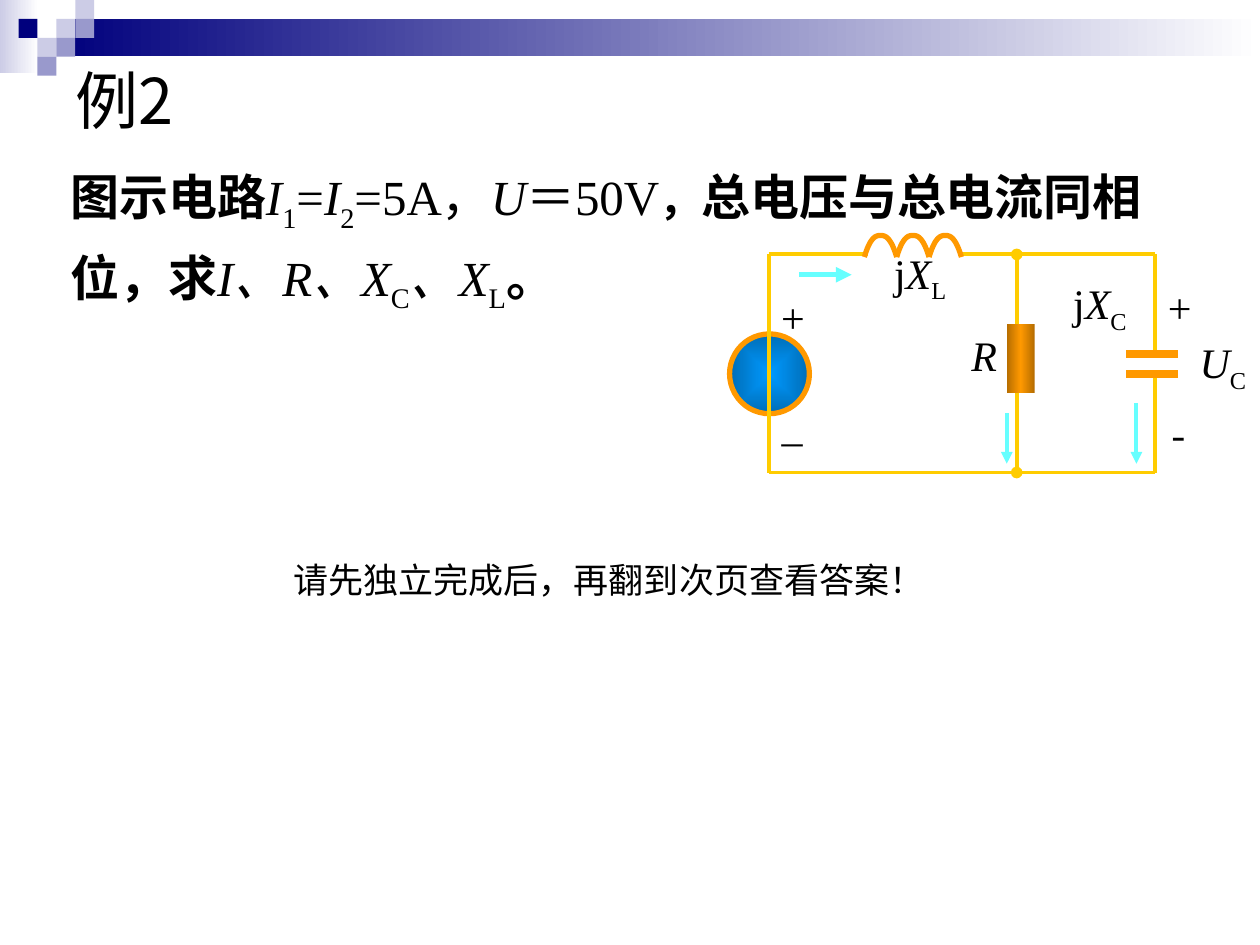
import lxml.etree
import pptx
import pptx.dml.color
import pptx.enum.shapes
import pptx.enum.text
import pptx.oxml.ns
import pptx.util

Pt = pptx.util.Pt
RGBColor = pptx.dml.color.RGBColor
Shapes = pptx.enum.shapes.MSO_SHAPE
Align = pptx.enum.text.PP_ALIGN
Anchor = pptx.enum.text.MSO_ANCHOR
qn = pptx.oxml.ns.qn
SubElement = lxml.etree.SubElement

BLACK = RGBColor(0, 0, 0)
WHITE = RGBColor(255, 255, 255)
NAVY = RGBColor(0, 0, 0x7D)
LILAC = RGBColor(0xCC, 0xCC, 0xE6)
VIOLET = RGBColor(0x99, 0x99, 0xCC)
BLUE = RGBColor(0, 0x99, 0xFF)
DEEP_BLUE = RGBColor(0, 0x6D, 0xB6)
ORANGE = RGBColor(0xFF, 0x99, 0)
BROWN = RGBColor(0xB6, 0x6D, 0)
YELLOW = RGBColor(0xFF, 0xCC, 0)
CYAN = RGBColor(0x66, 0xFF, 0xFF)

SANS = "Noto Sans CJK SC"
SERIF = "Times New Roman"
STYLES = {
    "sans": {"name": SANS},
    "bold": {"name": "Arial", "bold": True},
    "comma": {"name": "Arial", "bold": True, "size": Pt(24)},
    "stop": {"name": SERIF, "bold": True},
    "roman": {"name": SERIF},
    "italic": {"name": SERIF, "italic": True},
    "sub": {"name": SERIF},
}

deck = pptx.Presentation()
deck.slide_width, deck.slide_height = Pt(720), Pt(540)
page = deck.slides.add_slide(deck.slide_layouts[6])


def add_text(place, spans, size, **formats):
    box = page.shapes.add_textbox(*map(Pt, place))
    frame = box.text_frame
    frame.word_wrap = formats.get("wrap", True)
    frame.vertical_anchor = formats.get("anchor", Anchor.TOP)
    para = frame.paragraphs[0]
    para.alignment = formats.get("align", Align.LEFT)
    para.line_spacing = formats.get("spacing", 1.0)
    for text, style in spans:
        span = para.add_run()
        span.text = text
        for key, value in ({"size": Pt(size)} | STYLES[style]).items():
            setattr(span.font, key, value)
        span.font.color.rgb = BLACK
        properties = span._r.get_or_add_rPr()
        SubElement(properties, qn("a:ea"), typeface=SANS)
        if style == "sub":
            properties.set("baseline", "-25000")


def add_block(kind, place, colors, radial=False):
    block = page.shapes.add_shape(kind, *map(Pt, place))
    block.shadow.inherit = False
    block.line.fill.background()
    if len(colors) == 1:
        block.fill.solid()
        block.fill.fore_color.rgb = colors[0]
        return block
    block.fill.gradient()
    gradient = block._element.spPr.find(qn("a:gradFill"))
    for child in list(gradient):
        gradient.remove(child)
    stops = SubElement(gradient, qn("a:gsLst"))
    for index, color in enumerate(colors):
        position = str(100000 * index // (len(colors) - 1))
        stop = SubElement(stops, qn("a:gs"), pos=position)
        SubElement(stop, qn("a:srgbClr"), val=str(color))
    if radial:
        center = SubElement(gradient, qn("a:path"), path="rect")
        SubElement(center, qn("a:fillToRect"), l="50000", t="50000", r="50000", b="50000")
    else:
        SubElement(gradient, qn("a:lin"), ang="0", scaled="0")
    return block


add_block(Shapes.RECTANGLE, (0, 0, 22, 42), (LILAC, WHITE))
add_block(Shapes.RECTANGLE, (32.4, 10.8, 687.6, 21.4), (NAVY, WHITE))
TILE = 10.8
for column, row, color in (
    (2, 1, LILAC), (3, 0, LILAC), (3, 1, VIOLET), (1, 2, LILAC),
    (0, 1, NAVY), (2, 2, VIOLET), (1, 3, VIOLET),
):
    place = (10.6 + column * TILE, row * TILE, TILE, TILE)
    add_block(Shapes.RECTANGLE, place, (color,))

add_text((36, 36, 648, 42), [("例2", "sans")], 36, anchor=Anchor.MIDDLE)

source = add_block(Shapes.OVAL, (416.9, 190.8, 45.6, 45.6), (BLUE, DEEP_BLUE), radial=True)
source.line.color.rgb = ORANGE
source.line.width = Pt(3)

LEFT, MIDDLE, RIGHT = 439.2, 581, 660.2
TOP, BOTTOM = 145.4, 270
PLATES = (202.3, 213.8)
COIL_LEFT, HUMP = 493.9, 18.5
wires = [
    (LEFT, BOTTOM, RIGHT, BOTTOM),
    (LEFT, TOP, LEFT, BOTTOM),
    (LEFT, TOP, COIL_LEFT + 2, TOP),
    (COIL_LEFT + 3 * HUMP - 2, TOP, RIGHT, TOP),
    (RIGHT, TOP, RIGHT, PLATES[0]),
    (RIGHT, PLATES[1], RIGHT, BOTTOM),
]
lines = [(wire, YELLOW, 2.25, {}) for wire in wires]
lines += [
    ((MIDDLE, TOP, MIDDLE, BOTTOM), YELLOW, 2.25, {"headEnd": "oval", "tailEnd": "oval"}),
    ((456.5, 157, 486.7, 157), CYAN, 3, {"tailEnd": "triangle"}),
    ((575.3, 236.2, 575.3, 265), CYAN, 2.25, {"tailEnd": "triangle"}),
    ((649.4, 230.4, 649.4, 265), CYAN, 2.25, {"tailEnd": "triangle"}),
]
lines += [((643.5, plate, 673.4, plate), ORANGE, 4.5, {}) for plate in PLATES]
for ends, color, width, tips in lines:
    line = page.shapes.add_connector(pptx.enum.shapes.MSO_CONNECTOR.STRAIGHT, *map(Pt, ends))
    line.line.color.rgb = color
    line.line.width = Pt(width)
    for tip, kind in tips.items():
        SubElement(line.line._get_or_add_ln(), qn("a:" + tip), type=kind)
    SubElement(line._element.spPr, qn("a:effectLst"))

add_block(Shapes.RECTANGLE, (575.3, 185, 15.9, 39.7), (BROWN, ORANGE, BROWN))

for hump in range(3):
    center = COIL_LEFT + (hump + 0.5) * HUMP
    points = []
    for step in range(-12, 13):
        offset = step / 12
        height = 12.3 * (1 - abs(offset) ** 2.5)
        points.append((Pt(center + offset * HUMP / 2), Pt(146.9 - height)))
    builder = page.shapes.build_freeform(*points[0])
    builder.add_line_segments(points[1:], close=False)
    arc = builder.convert_to_shape()
    arc.shadow.inherit = False
    arc.fill.background()
    arc.line.color.rgb = ORANGE
    arc.line.width = Pt(3)

for left, top, width, spans in (
    (605.5, 157, 46, [("j", "roman"), ("X", "italic"), ("C", "sub")]),
    (439.2, 162.7, 28, [("+", "roman")]),
    (439.2, 224.6, 27, [("_", "roman")]),
    (547.9, 185, 29, [("R", "italic")]),
    (503.3, 139.7, 45, [("j", "roman"), ("X", "italic"), ("L", "sub")]),
    (677.5, 190.8, 42.5, [("U", "italic"), ("C", "sub")]),
    (660.2, 157, 28, [("+", "roman")]),
    (660.2, 230.4, 27, [("-", "sans")]),
):
    add_text((left, top, width, 36), spans, 24, wrap=False,
             anchor=Anchor.MIDDLE, align=Align.CENTER)

add_text((33.1, 84.2, 651, 85), [
    ("图示电路", "bold"), ("I", "italic"), ("1", "sub"), ("=", "roman"),
    ("I", "italic"), ("2", "sub"), ("=5A，", "roman"), ("U", "italic"),
    ("＝50V", "roman"), ("，", "comma"), ("总电压与总电流同相位，求", "bold"),
    ("I、R、X", "italic"), ("C", "sub"), ("、X", "italic"), ("L", "sub"),
    ("。", "stop"),
], 28, spacing=1.2)
add_text((160.6, 315.4, 415.4, 31.7), [("请先独立完成后，再翻到次页查看答案！", "sans")], 20)

deck.save("out.pptx")
